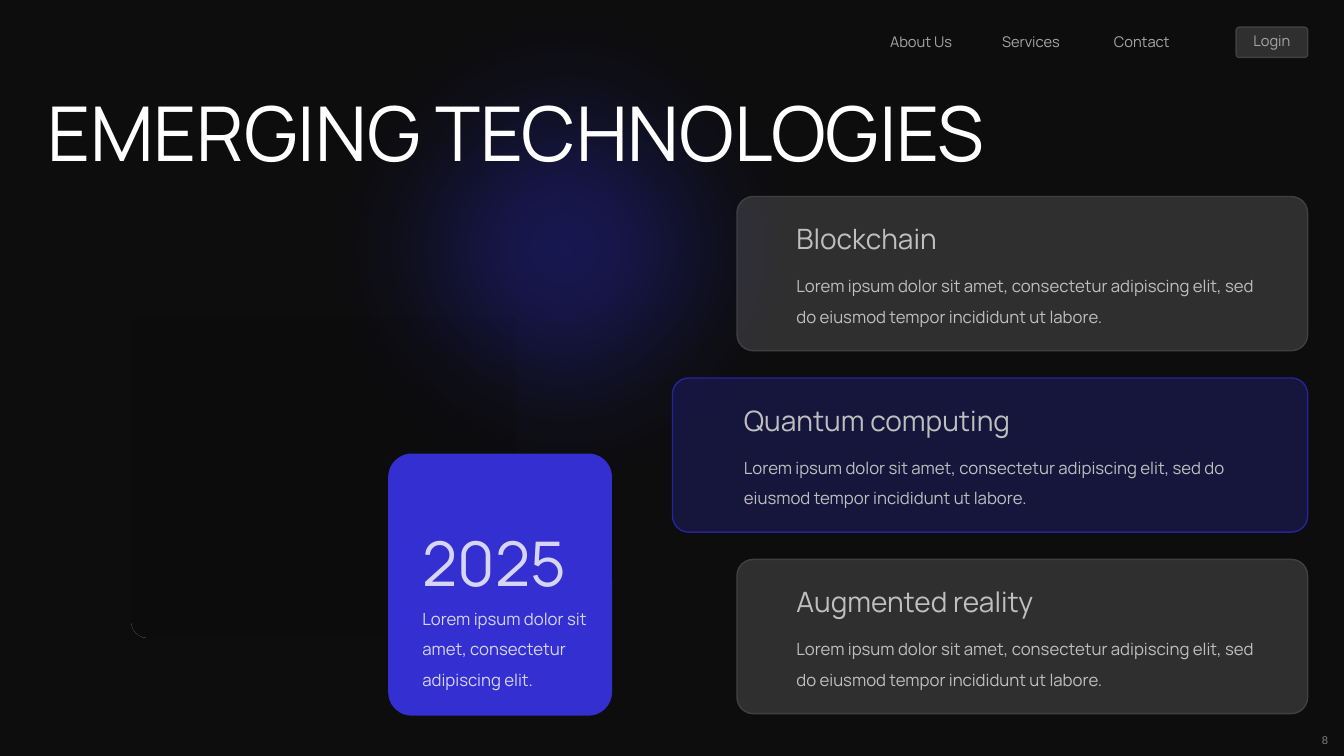
from lxml.etree import SubElement as Sub
from pptx import Presentation
from pptx.dml.color import RGBColor as RGB
from pptx.enum.shapes import MSO_SHAPE as Kind
from pptx.enum.text import PP_ALIGN as Align
from pptx.oxml.ns import qn
from pptx.util import Inches, Pt

NIGHT = RGB(0x0D, 0x0D, 0x0D)
BLUE = RGB(0x33, 0x2F, 0xD0)
NAVY = RGB(0x26, 0x23, 0x9C)
PALE = RGB(0xF2, 0xF2, 0xF2)
EDGE = RGB(0x40, 0x40, 0x40)
WHITE = RGB(0xFF, 0xFF, 0xFF)
SILVER = RGB(0xBF, 0xBF, 0xBF)
GREY = RGB(0xA6, 0xA6, 0xA6)
DIM = RGB(0x7F, 0x7F, 0x7F)
LILAC = RGB(0xD6, 0xD5, 0xF6)

LOREM = ("Lorem ipsum dolor sit amet, consectetur adipiscing elit, "
         "sed do eiusmod tempor incididunt ut labore.")


def add_alpha(color, percent):
    Sub(color, qn("a:alpha"), val=str(percent * 1000))


def add_box(slide, kind, box, fill, alpha=None, line=None):
    shape = slide.shapes.add_shape(kind, *map(Inches, box))
    shape.shadow.inherit = False
    shape.fill.solid()
    shape.fill.fore_color.rgb = fill
    if alpha is not None:
        add_alpha(shape._element.spPr.find(qn("a:solidFill"))[0], alpha)
    if line is None:
        shape.line.fill.background()
    else:
        shape.line.color.rgb = line
        shape.line.width = Pt(1)
    if kind == Kind.ROUNDED_RECTANGLE:
        shape.adjustments[0] = 0.105
    return shape


def add_text(slide, box, text, size, color, align=Align.LEFT,
             space=None, font="Manrope"):
    frame = slide.shapes.add_textbox(*map(Inches, box)).text_frame
    frame.word_wrap = True
    par = frame.paragraphs[0]
    par.text = text
    par.alignment = align
    par.line_spacing = space
    par.font.size = Pt(size)
    par.font.name = font
    par.font.color.rgb = color


def add_glow(slide):
    glow = add_box(slide, Kind.OVAL, (2.48, -0.65, 6.23, 6.23), NAVY, 52)
    effects = glow._element.spPr.find(qn("a:effectLst"))
    Sub(effects, qn("a:softEdge"), rad=str(Pt(100)))


def add_shade(slide):
    shade = add_box(slide, Kind.ROUND_2_SAME_RECTANGLE,
                    (1.3, 3.13, 3.81, 3.19), NIGHT)
    shade.adjustments[0] = 0
    shade.adjustments[1] = 0.05
    shade.fill.gradient()
    shade.fill.gradient_angle = 270
    for stop in shade.fill.gradient_stops:
        stop.color.rgb = NIGHT
    colors = shade._element.spPr.find(qn("a:gradFill")).iter(qn("a:srgbClr"))
    for color, alpha in zip(colors, (0, 80)):
        add_alpha(color, alpha)


def add_header(slide):
    add_box(slide, Kind.ROUNDED_RECTANGLE, (12.26, 0.27, 0.71, 0.3),
            PALE, 15, EDGE)
    for i, label in enumerate(("About Us", "Services", "Contact")):
        add_text(slide, (8.73 + 1.11 * i, 0.28, 0.87, 0.29),
                 label, 10.5, GREY)
    add_text(slide, (12.26, 0.27, 0.71, 0.29), "Login", 10.5, GREY,
             Align.CENTER)


def add_card(slide, row, title, left, inset, fill, alpha, line):
    top = 1.95 + 1.8 * row
    right = 12.97
    add_box(slide, Kind.ROUNDED_RECTANGLE, (left, top, right - left, 1.53),
            fill, alpha, line)
    start = left + inset
    width = 12.75 - start
    add_text(slide, (start, top + 0.64, width, 0.71), LOREM, 12, SILVER,
             space=1.5)
    add_text(slide, (start, top + 0.2, width, 0.44), title, 20, SILVER)


def add_year(slide):
    add_box(slide, Kind.ROUNDED_RECTANGLE, (3.85, 4.5, 2.22, 2.6), BLUE)
    add_text(slide, (4.09, 5.16, 1.98, 0.84), "2025", 44, LILAC)
    add_text(slide, (4.09, 5.89, 1.86, 1.01),
             "Lorem ipsum dolor sit amet, consectetur adipiscing elit.",
             12, LILAC, space=1.5)


def main():
    deck = Presentation()
    deck.slide_width = Inches(13.33)
    deck.slide_height = Inches(7.5)
    slide = deck.slides.add_slide(deck.slide_layouts[6])
    slide.background.fill.solid()
    slide.background.fill.fore_color.rgb = NIGHT

    # Header bar and page number
    add_header(slide)
    add_text(slide, (12.4, 7.23, 0.87, 0.24), "8", 8, DIM, Align.RIGHT,
             font="Arial")

    # Title over the glow
    add_glow(slide)
    add_text(slide, (0.37, 0.8, 12.6, 1.01), "EMERGING TECHNOLOGIES", 54,
             WHITE)
    add_shade(slide)

    # Technology cards
    plain = (7.31, 0.49, PALE, 15, EDGE)
    accent = (6.67, 0.61, BLUE, 24, NAVY)
    cards = (("Blockchain", plain), ("Quantum computing", accent),
             ("Augmented reality", plain))
    for row, (title, style) in enumerate(cards):
        add_card(slide, row, title, *style)

    # Year tile
    add_year(slide)
    deck.save("out.pptx")


if __name__ == "__main__":
    main()
